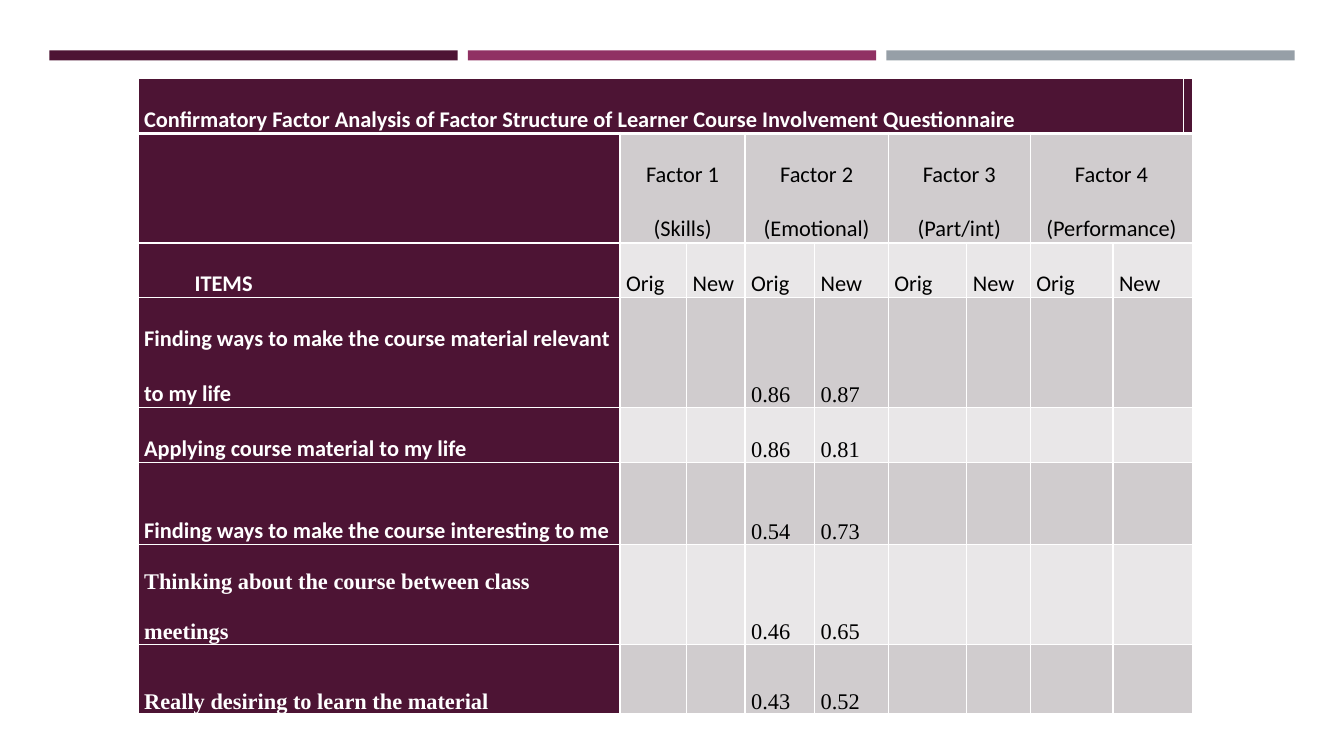
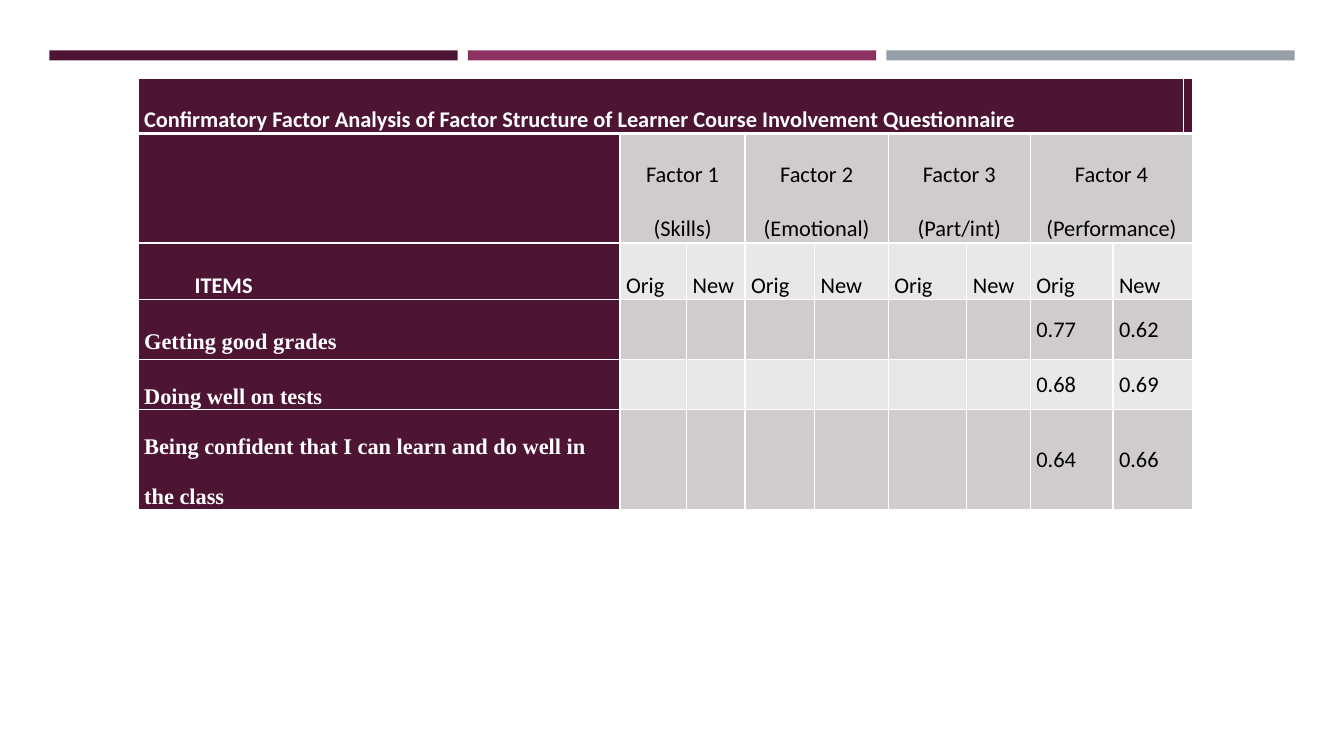
from dataclasses import dataclass

from lxml import etree
from pptx import Presentation, util as u
from pptx.dml.color import RGBColor
from pptx.enum import shapes, text
from pptx.oxml.ns import qn


@dataclass(frozen=True)
class Theme:
    plum: str = "4D1434"
    berry: str = "903163"
    slate: str = "969FA7"
    band_dark: str = "D0CCCE"
    band_light: str = "E9E7E8"
    white: str = "FFFFFF"
    black: str = "000000"
    sans: str = "Calibri"
    serif: str = "Times New Roman"
    size: int = 16
    rule: int = 1
    heavy_rule: int = 3


THEME = Theme()
BOTTOM, MIDDLE = text.MSO_ANCHOR.BOTTOM, text.MSO_ANCHOR.MIDDLE

TITLE = ("Confirmatory Factor Analysis of Factor Structure of "
         "Learner Course Involvement Questionnaire")
# Lines of each factor heading, with its first and last column
FACTORS = [(["Factor 1", "(Skills)"], 1, 2),
           (["Factor 2", "(Emotional)"], 3, 4),
           (["Factor 3", "(Part/int)"], 5, 6),
           (["Factor 4 (Performance)"], 7, 9)]
COLUMN_WIDTHS = [4.78, 0.66, 0.58, 0.69, 0.73, 0.78, 0.63, 0.82, 0.7, 0.09]
TABLE_LEFT, TABLE_TOP = 1.37, 0.78
LAST = len(COLUMN_WIDTHS) - 1
HEAD_ROWS = 3


@dataclass(frozen=True)
class FactorPage:
    items: list            # (label, label font, original loading, new loading)
    heights: list
    first_value_column: int
    value_font: str
    anchor: text.MSO_ANCHOR


PAGES = [
    FactorPage(
        [("Finding ways to make the course material relevant to my life", THEME.sans, "0.86", "0.87"),
         ("Applying course material to my life", THEME.sans, "0.86", "0.81"),
         ("Finding ways to make the course interesting to me", THEME.sans, "0.54", "0.73"),
         ("Thinking about the course between class meetings", THEME.serif, "0.46", "0.65"),
         ("Really desiring to learn the material", THEME.serif, "0.43", "0.52")],
        [0.43, 0.82, 0.41, 0.82, 0.41, 0.82, 0.41, 0.69],
        3, THEME.serif, BOTTOM),
    FactorPage(
        [("Getting good grades", THEME.serif, "0.77", "0.62"),
         ("Doing well on tests", THEME.serif, "0.68", "0.69"),
         ("Being confident that I can learn and do well in the class", THEME.serif, "0.64", "0.66")],
        [0.43, 0.82, 0.56, 0.6, 0.41, 0.82],
        7, THEME.sans, MIDDLE),
]


def rgb(value):
    return RGBColor.from_string(value)


def add_bands(slide):
    """Draw the three top bands and move them to the layout, for all slides."""
    layout = slide.slide_layout
    for placeholder in list(layout.placeholders):
        layout.shapes.element.remove(placeholder.element)
    left, width, gap = 0.49, 4.05, 0.1
    bands = []
    for i, colour in enumerate([THEME.plum, THEME.berry, THEME.slate]):
        band = slide.shapes.add_shape(
            shapes.MSO_SHAPE.RECTANGLE, u.Inches(left + i * (width + gap)),
            u.Inches(0.5), u.Inches(width), u.Inches(0.1))
        band.shadow.inherit = False
        band.fill.solid()
        band.fill.fore_color.rgb = rgb(colour)
        band.line.fill.background()
        bands.append(band)
    for band in bands:
        layout.shapes.element.append(band.element)


def style_cell(cell, row, column):
    """Give a cell its borders and its fill."""
    heavy_sides = {0: "B", 1: "T"}
    properties = cell._tc.get_or_add_tcPr()
    for side in "LRTB":
        width = THEME.heavy_rule if heavy_sides.get(row) == side else THEME.rule
        line = etree.SubElement(properties, qn(f"a:ln{side}"), w=str(u.Pt(width)))
        fill = etree.SubElement(line, qn("a:solidFill"))
        etree.SubElement(fill, qn("a:srgbClr"), val=THEME.white)
    cell.fill.solid()
    band = THEME.band_dark if row % 2 else THEME.band_light
    cell.fill.fore_color.rgb = rgb(THEME.plum if row == 0 or column == 0 else band)
    if column == LAST:  # margins would widen this narrow column
        cell.margin_left = cell.margin_right = 0


def write(cell, lines, font=THEME.sans, heading=False, anchor=None,
          spacing=2, align=None, indent=0):
    cell.margin_left = cell.margin_right = u.Inches(0.06)
    cell.margin_top = cell.margin_bottom = 0
    if anchor is not None:
        cell.vertical_anchor = anchor
    cell.text = "\n".join(lines)
    for paragraph in cell.text_frame.paragraphs:
        if indent:
            paragraph._p.get_or_add_pPr().set("indent", str(u.Inches(indent)))
        paragraph.alignment = align
        paragraph.line_spacing = spacing
        paragraph.font.name = font
        paragraph.font.size = u.Pt(THEME.size)
        paragraph.font.bold = heading
        paragraph.font.color.rgb = rgb(THEME.white if heading else THEME.black)


def fill_headings(table):
    table.cell(0, 0).merge(table.cell(0, LAST - 1))
    write(table.cell(0, 0), [TITLE], heading=True)
    for lines, first, last in FACTORS:
        table.cell(1, first).merge(table.cell(1, last))
        write(table.cell(1, first), lines, align=text.PP_ALIGN.CENTER)
        for column, label in enumerate(["Orig", "New"], first):
            write(table.cell(2, column), [label], anchor=BOTTOM)
    write(table.cell(2, 0), ["ITEMS"], heading=True, anchor=BOTTOM, indent=0.5)


def fill_items(table, page):
    for row, (label, font, *loadings) in enumerate(page.items, HEAD_ROWS):
        write(table.cell(row, 0), [label], font, heading=True, anchor=page.anchor)
        for column, loading in enumerate(loadings, page.first_value_column):
            write(table.cell(row, column), [loading], page.value_font,
                  anchor=page.anchor, spacing=1)


def add_factor_table(slide, page, left, top):
    table = slide.shapes.add_table(
        len(page.heights), len(COLUMN_WIDTHS), u.Inches(left), u.Inches(top),
        u.Inches(sum(COLUMN_WIDTHS)), u.Inches(sum(page.heights))).table
    table.first_row = table.horz_banding = False
    for column, width in zip(table.columns, COLUMN_WIDTHS):
        column.width = u.Inches(width)
    for r, (row, height) in enumerate(zip(table.rows, page.heights)):
        row.height = u.Inches(height)
        for c, cell in enumerate(row.cells):
            style_cell(cell, r, c)
        if r >= HEAD_ROWS - 1:
            table.cell(r, LAST - 1).merge(table.cell(r, LAST))
    fill_headings(table)
    fill_items(table, page)


def main():
    deck = Presentation()
    deck.slide_width, deck.slide_height = u.Inches(13.33), u.Inches(7.5)
    blank = deck.slide_layouts[6]
    for page in PAGES:
        slide = deck.slides.add_slide(blank)
        add_factor_table(slide, page, TABLE_LEFT, TABLE_TOP)
    add_bands(deck.slides[0])
    deck.save("out.pptx")


if __name__ == "__main__":
    main()
